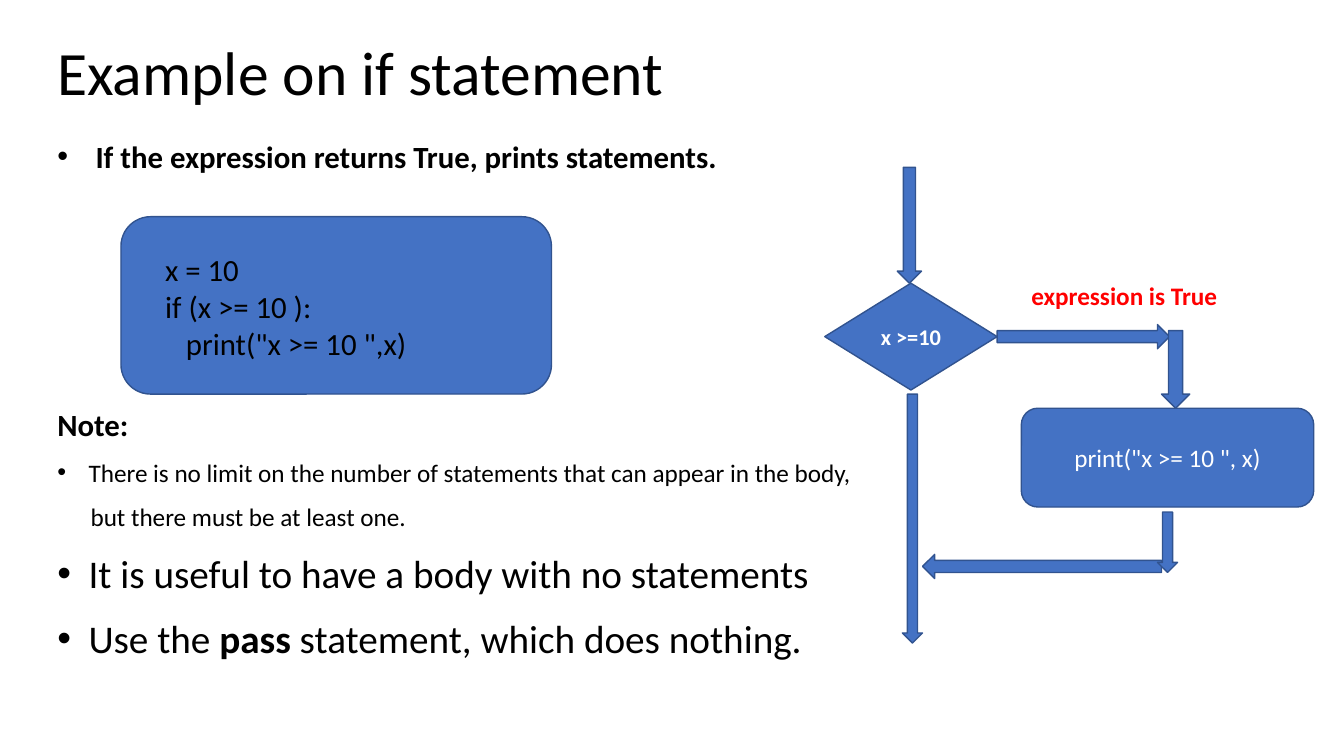
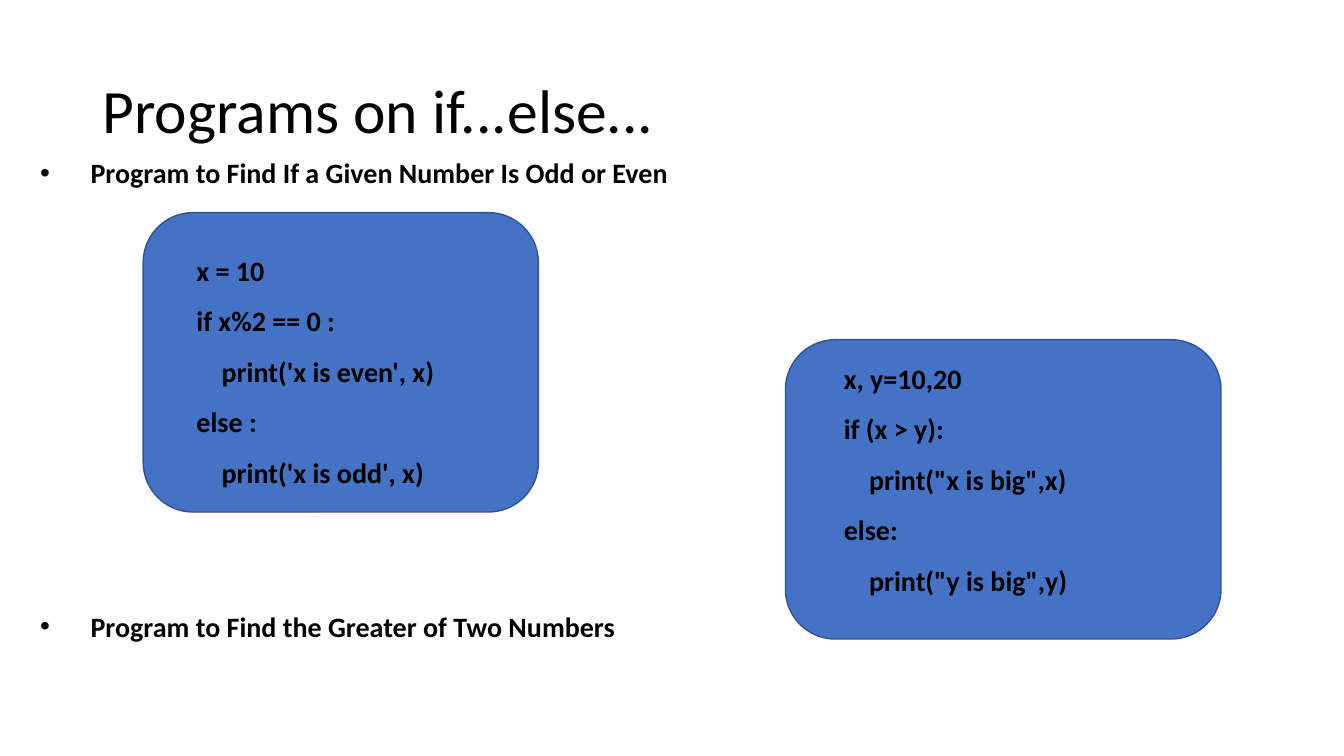
from lxml.etree import SubElement
from pptx import Presentation
from pptx.dml.color import RGBColor
from pptx.enum.shapes import MSO_SHAPE as Shape
from pptx.enum.text import MSO_ANCHOR as Anchor, PP_ALIGN as Align
from pptx.oxml.ns import qn
from pptx.util import Emu, Pt

BLACK = RGBColor(0x00, 0x00, 0x00)
WHITE = RGBColor(0xFF, 0xFF, 0xFF)
RED = RGBColor(0xFF, 0x00, 0x00)
BLUE = RGBColor(0x44, 0x72, 0xC4)
DARK_BLUE = RGBColor(0x31, 0x53, 0x8F)

FONT = "Calibri"
EMU_PER_PX = 9144  # 100 px to the inch


def px(length):
    return Emu(length * EMU_PER_PX)


def write(frame, *spans, size=18, color=BLACK, bold=False, align=Align.LEFT,
          spacing=1.0, before=0, indent=0, bullet=False):
    """Add one paragraph; a span is a text or a (text, bold) pair."""
    para = frame.paragraphs[0]
    if para.runs:
        para = frame.add_paragraph()
    properties = para._p.get_or_add_pPr()
    properties.set("marL", str(px(indent)))
    properties.set("indent", str(px(-indent if bullet else 0)))
    if bullet:
        SubElement(properties, qn("a:buFont"), typeface="Arial")
        SubElement(properties, qn("a:buChar"), char="•")
    para.alignment = align
    para.line_spacing = spacing
    para.space_before = Pt(before)
    for span in spans:
        text, strong = (span, bold) if isinstance(span, str) else span
        run = para.add_run()
        run.text = text
        run.font.name = FONT
        run.font.size = Pt(size)
        run.font.bold = strong
        run.font.color.rgb = color


class Deck:
    """Holds the shared style and the current slide."""

    def __init__(self, width, height):
        self.file = Presentation()
        self.file.slide_width = px(width)
        self.file.slide_height = px(height)
        self.page = None

    def new_page(self, title, left, top):
        self.page = self.file.slides.add_slide(self.file.slide_layouts[6])
        frame = self.text_box(left, top, 1150, 145)
        frame.vertical_anchor = Anchor.MIDDLE
        write(frame, title, size=44, spacing=0.9)

    def text_box(self, left, top, width, height):
        box = self.page.shapes.add_textbox(px(left), px(top), px(width), px(height))
        box.text_frame.word_wrap = True
        return box.text_frame

    def shape(self, kind, left, top, width, height):
        shape = self.page.shapes.add_shape(kind, px(left), px(top), px(width), px(height))
        shape.shadow.inherit = False
        shape.fill.solid()
        shape.fill.fore_color.rgb = BLUE
        shape.line.color.rgb = DARK_BLUE
        shape.line.width = Pt(1)
        return shape

    def flow_node(self, kind, left, top, width, height, text, **style):
        frame = self.shape(kind, left, top, width, height).text_frame
        frame.word_wrap = True
        frame.vertical_anchor = Anchor.MIDDLE
        write(frame, text, color=WHITE, align=Align.CENTER, **style)

    def code_panel(self, panel, text_area, lines, **style):
        self.shape(Shape.ROUNDED_RECTANGLE, *panel)
        frame = self.text_box(*text_area)
        for line in lines:
            write(frame, line, **style)

    def save(self):
        self.file.save("out.pptx")


def if_statement_page(deck):
    deck.new_page("Example on if statement", 47, 2)

    # Explanation and code
    write(deck.text_box(47, 113, 1243, 70),
          "If the expression returns True, prints statements.",
          size=22, bold=True, spacing=1.5, indent=38, bullet=True)
    deck.code_panel((120, 215, 427, 176), (154, 244, 370, 121),
                    ["x = 10", "if (x >= 10 ):", '   print("x >= 10 ",x)'], size=22)

    # Note
    note = deck.text_box(47, 390, 1243, 300)
    write(note, "Note:", size=22, bold=True, spacing=1.2)
    item = dict(spacing=1.2, before=6, indent=31, bullet=True)
    write(note, "There is no limit on the number of statements that can appear in the body,",
          **item)
    write(note, "but there must be at least one.", spacing=1.2, before=6, indent=33)
    write(note, "It is useful to have a body with no statements", size=28, **item)
    write(note, "Use the ", ("pass", True), " statement, which does nothing.",
          size=28, **item)

    # Flowchart
    deck.flow_node(Shape.FLOWCHART_DECISION, 818, 281, 171, 106, "x >=10",
                   size=16, bold=True)
    arrows = [
        (Shape.DOWN_ARROW, 890, 166, 24, 115),
        (Shape.DOWN_ARROW, 895, 391, 20, 247),
        (Shape.RIGHT_ARROW, 989, 322, 171, 24),
        (Shape.DOWN_ARROW, 1152, 328, 28, 77),
        (Shape.LEFT_ARROW, 915, 550, 237, 24),
        (Shape.DOWN_ARROW, 1148, 508, 20, 60),
    ]
    for arrow in arrows:
        deck.shape(*arrow)
    deck.flow_node(Shape.ROUNDED_RECTANGLE, 1013, 405, 290, 98, 'print("x >= 10 ", x)')
    write(deck.text_box(1013, 273, 212, 40), "expression is True", color=RED, bold=True)


def if_else_page(deck):
    deck.new_page("Programs on if...else...", 92, 40)
    style = dict(size=20, bold=True, spacing=1.5)

    # Program headings
    headings = [(133, "Program to Find If a Given Number Is Odd or Even"),
                (583, "Program to Find the Greater of Two Numbers")]
    for top, heading in headings:
        write(deck.text_box(30, top, 1260, 60), heading, indent=50, bullet=True, **style)

    # Programs
    deck.code_panel((142, 211, 392, 297), (185, 230, 333, 257),
                    ["x = 10", "if x%2 == 0 :", "    print('x is even', x)",
                     "else :", "    print('x is odd', x)"], **style)
    deck.code_panel((779, 337, 432, 297), (827, 337, 338, 257),
                    ["x, y=10,20", "if (x > y):", '    print("x is big",x)',
                     "else:", '    print("y is big",y)'], **style)


def main():
    deck = Deck(1333, 750)
    if_statement_page(deck)
    if_else_page(deck)
    deck.save()


if __name__ == "__main__":
    main()
